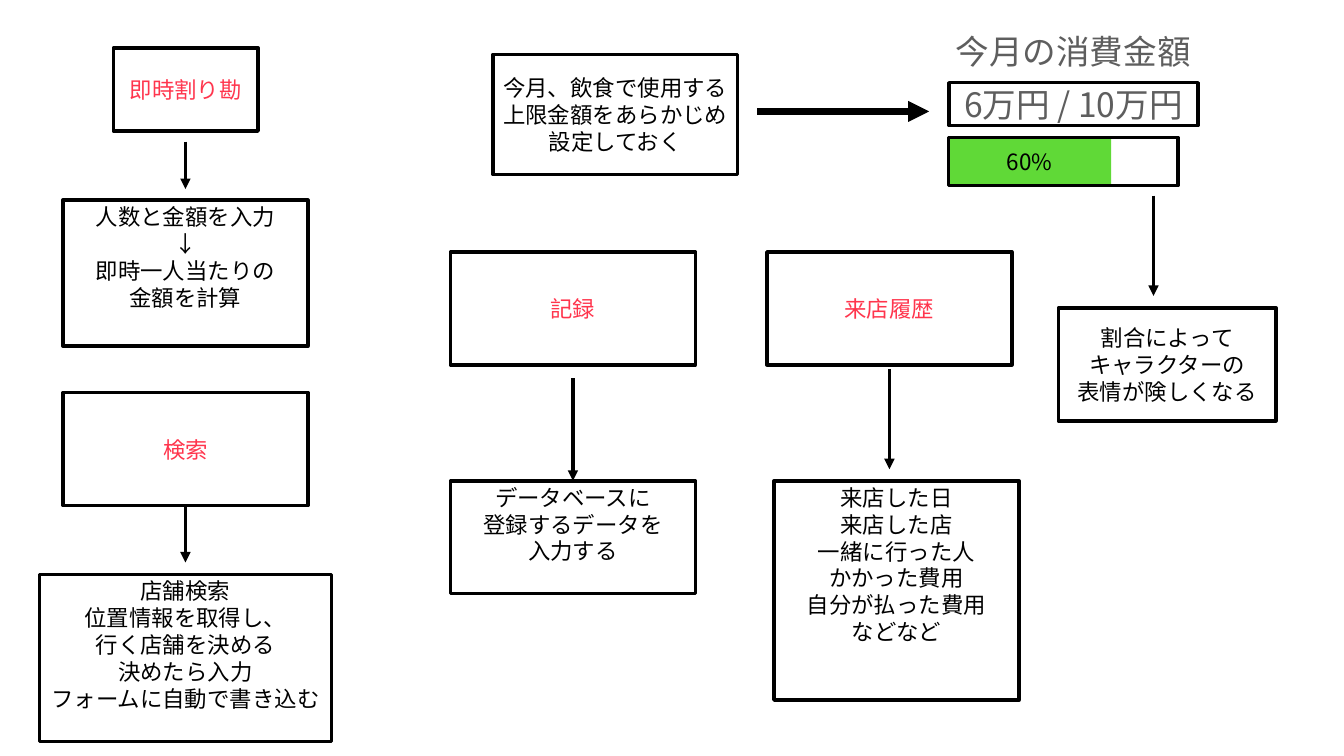
import pptx
import pptx.util
import pptx.dml.color
import pptx.enum.shapes
import pptx.enum.text
import pptx.oxml.ns
from dataclasses import dataclass
from lxml import etree

PX = 9144  # EMU in one px: 100 px to the inch
SLIDE_SIZE = (2667, 1500)
TOP, BOTTOM = 0, 2  # connection sites of a rectangle


@dataclass(frozen=True)
class Theme:
    font: str = "Noto Sans CJK JP"
    ink: str = "000000"
    accent: str = "FF354D"
    muted: str = "5E5E5E"
    progress: str = "60D937"
    body: int = 32
    heading: int = 48
    line: int = 5
    heavy_line: int = 10
    leading: float = 1.2
    inset: int = 6


THEME = Theme()
HEADING = {"size": THEME.heading, "color": THEME.muted, "wrap": False}
FEATURE = {"color": THEME.accent}
DETAIL = {"anchor": "TOP"}

# name: (left, top, width, height), lines of text, format
BOXES = {
    "split": ((225, 95, 287, 165), ["即時割り勘"], FEATURE),
    "split_detail": ((125, 397, 486, 290),
                     ["人数と金額を入力", "↓", "即時一人当たりの", "金額を計算"], DETAIL),
    "search": ((125, 779, 486, 224), ["検索"], FEATURE),
    "search_detail": ((78, 1140, 580, 331),
                      ["店舗検索", "位置情報を取得し、", "行く店舗を決める",
                       "決めたら入力", "フォームに自動で書き込む"], DETAIL),
    "record": ((894, 500, 486, 224), ["記録"], FEATURE),
    "record_detail": ((894, 954, 486, 224),
                      ["データベースに", "登録するデータを", "入力する"], DETAIL),
    "history": ((1522, 500, 486, 224), ["来店履歴"], FEATURE),
    "history_detail": ((1536, 954, 486, 435),
                       ["来店した日", "来店した店", "一緒に行った人", "かかった費用",
                        "自分が払った費用", "などなど"], DETAIL),
    "limit": ((978, 108, 486, 238),
              ["今月、飲食で使用する上限金額をあらかじめ設定しておく"], {}),
    "spent": ((1883, 164, 494, 85), ["6万円 / 10万円"], HEADING),
    "progress": ((1882, 273, 323, 95), ["60%"],
                 {"fill": THEME.progress, "outline": False}),
    "progress_frame": ((1882, 273, 456, 95), [], {}),
    "expression": ((2100, 611, 432, 224),
                   ["割合によって", "キャラクターの", "表情が険しくなる"], {}),
}
SPENT_TITLE = ((1890, 63, 479, 78), ["今月の消費金額"], HEADING)

# start, end, line width, box joined at the start, box joined at the end
ARROWS = [
    ((368, 281), (368, 375), THEME.line, None, None),
    ((368, 1003), (368, 1116), THEME.line, "search", None),
    ((1137, 750), (1137, 954), THEME.line, None, "record_detail"),
    ((1765, 733), (1765, 931), THEME.line, None, None),
    ((2289, 388), (2289, 587), THEME.line, None, None),
    ((1503, 221), (1844, 221), THEME.heavy_line, None, None),
]


def emu(lengths):
    return [length * PX for length in lengths]


def rgb(color):
    return pptx.dml.color.RGBColor.from_string(color)


def set_text(shape, lines, *, size=THEME.body, color=THEME.ink,
             anchor="MIDDLE", wrap=True):
    frame = shape.text_frame
    frame.word_wrap = wrap
    frame.vertical_anchor = pptx.enum.text.MSO_ANCHOR[anchor]
    frame.margin_left = frame.margin_right = THEME.inset * PX
    frame.margin_top = frame.margin_bottom = THEME.inset * PX
    for index, line in enumerate(lines):
        paragraph = frame.add_paragraph() if index else frame.paragraphs[0]
        paragraph.alignment = pptx.enum.text.PP_ALIGN.CENTER
        paragraph.line_spacing = pptx.util.Pt(size * THEME.leading)
        run = paragraph.add_run()
        run.text = line
        run.font.size = pptx.util.Pt(size)
        run.font.color.rgb = rgb(color)
        run.font.name = THEME.font
        east_asian = etree.SubElement(run.font._element, pptx.oxml.ns.qn("a:ea"))
        east_asian.set("typeface", THEME.font)


def add_box(slide, place, lines, *, fill=None, outline=True, **text_format):
    shape = slide.shapes.add_shape(
        pptx.enum.shapes.MSO_SHAPE.RECTANGLE, *emu(place))
    shape.shadow.inherit = False
    if fill:
        shape.fill.solid()
        shape.fill.fore_color.rgb = rgb(fill)
    else:
        shape.fill.background()
    if outline:
        shape.line.color.rgb = rgb(THEME.ink)
        shape.line.width = pptx.util.Pt(THEME.line)
    else:
        shape.line.fill.background()
    if lines:
        set_text(shape, lines, **text_format)
    return shape


def add_arrow(slide, start, end, width, start_box, end_box):
    connector = slide.shapes.add_connector(
        pptx.enum.shapes.MSO_CONNECTOR.STRAIGHT, *emu(start + end))
    connector.line.color.rgb = rgb(THEME.ink)
    connector.line.width = pptx.util.Pt(width)
    qn = pptx.oxml.ns.qn
    properties = connector._element.spPr
    etree.SubElement(properties.find(qn("a:ln")), qn("a:tailEnd"), type="triangle")
    etree.SubElement(properties, qn("a:effectLst"))
    if start_box is not None:
        connector.begin_connect(start_box, BOTTOM)
    if end_box is not None:
        connector.end_connect(end_box, TOP)


def main():
    presentation = pptx.Presentation()
    presentation.slide_width, presentation.slide_height = emu(SLIDE_SIZE)
    slide = presentation.slides.add_slide(presentation.slide_layouts[6])

    boxes = {name: add_box(slide, place, lines, **box_format)
             for name, (place, lines, box_format) in BOXES.items()}

    place, lines, text_format = SPENT_TITLE
    set_text(slide.shapes.add_textbox(*emu(place)), lines, **text_format)

    for start, end, width, start_name, end_name in ARROWS:
        add_arrow(slide, start, end, width,
                  boxes.get(start_name), boxes.get(end_name))

    presentation.save("out.pptx")


if __name__ == "__main__":
    main()
